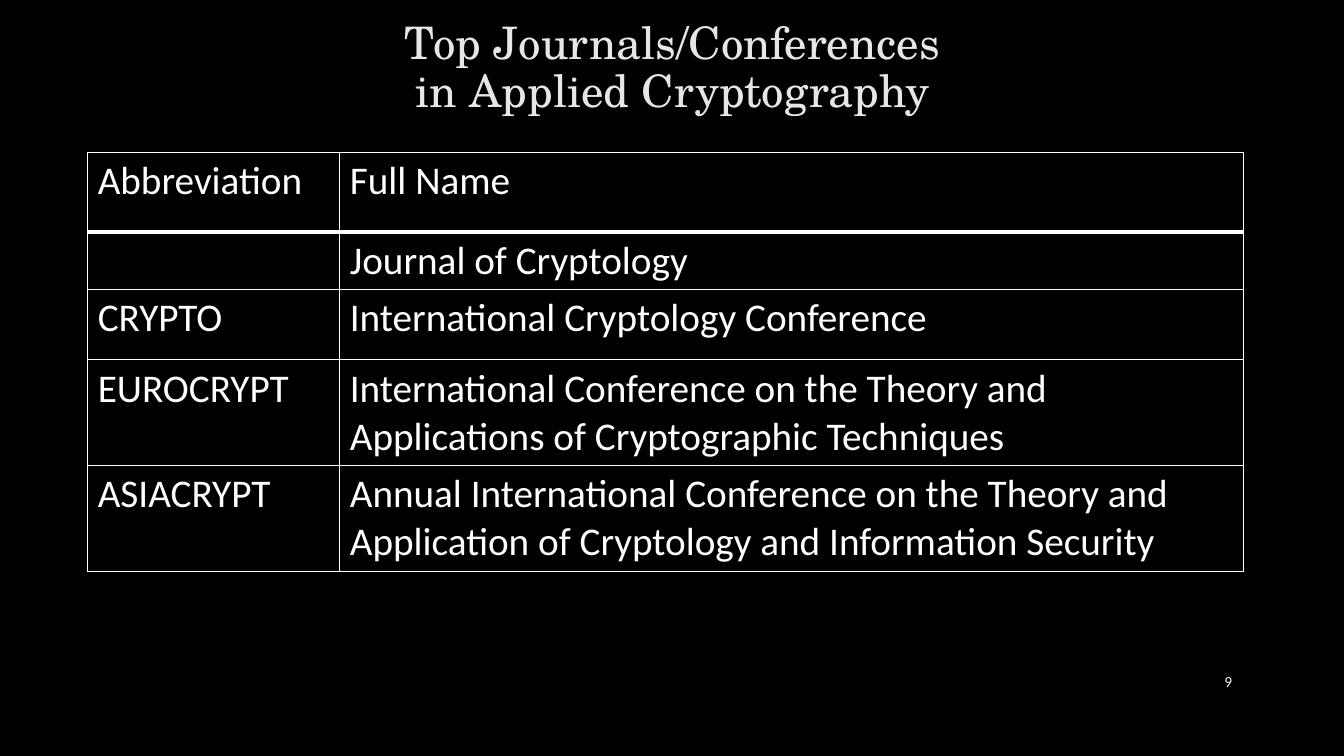
"""Build a slide listing the top venues in applied cryptography."""
from dataclasses import dataclass

from lxml import etree
from pptx import Presentation
from pptx import util as u
from pptx.dml.color import RGBColor
from pptx.enum import text
from pptx.oxml.ns import qn


@dataclass(frozen=True)
class Theme:
    background: str = "000000"
    heading: str = "E4E8E2"
    body: str = "FFFFFF"
    number: str = "F2F2F2"
    heading_font: str = "TeX Gyre Schola"
    body_font: str = "Calibri"
    heading_size: int = 32
    body_size: int = 28
    number_size: int = 11
    rule: int = 1
    header_rule: int = 3


class Deck:
    def __init__(self, theme):
        self.theme = theme
        self.deck = Presentation()
        self.deck.slide_width = u.Inches(13.33)
        self.deck.slide_height = u.Inches(7.5)
        self.slide = self.deck.slides.add_slide(self.deck.slide_layouts[6])
        backdrop = self.slide.background.fill
        backdrop.solid()
        backdrop.fore_color.rgb = RGBColor.from_string(theme.background)

    def add_words(self, paragraph, words, font, size, color):
        for index, line in enumerate(words.split("\n")):
            if index:
                paragraph.add_line_break()
            run = paragraph.add_run()
            run.text = line
            run.font.name = font
            run.font.size = u.Pt(size)
            run.font.color.rgb = RGBColor.from_string(color)

    def label(self, box, words, font, size, color, align, spacing=1.0):
        frame = self.slide.shapes.add_textbox(*map(u.Inches, box)).text_frame
        frame.word_wrap = True
        frame.vertical_anchor = text.MSO_ANCHOR.MIDDLE
        paragraph = frame.paragraphs[0]
        paragraph.alignment = align
        paragraph.line_spacing = spacing
        self.add_words(paragraph, words, font, size, color)

    def borders(self, cell, top, bottom):
        properties = cell._tc.get_or_add_tcPr()
        widths = {"L": self.theme.rule, "R": self.theme.rule, "T": top, "B": bottom}
        for side, width in widths.items():
            line = etree.SubElement(properties, qn(f"a:ln{side}"), w=str(u.Pt(width)))
            paint = etree.SubElement(line, qn("a:solidFill"))
            etree.SubElement(paint, qn("a:srgbClr"), val=self.theme.body)

    def table(self, left, top, columns, heights, rows):
        theme = self.theme
        box = (left, top, sum(columns), sum(heights))
        grid = self.slide.shapes.add_table(
            len(rows), len(columns), *map(u.Inches, box)).table
        grid.first_row = grid.horz_banding = False
        for column, width in zip(grid.columns, columns):
            column.width = u.Inches(width)
        for r, (height, row) in enumerate(zip(heights, rows)):
            grid.rows[r].height = u.Inches(height)
            for c, words in enumerate(row):
                cell = grid.cell(r, c)
                self.borders(cell,
                             theme.header_rule if r == 1 else theme.rule,
                             theme.header_rule if r == 0 else theme.rule)
                cell.fill.background()
                if words:
                    self.add_words(cell.text_frame.paragraphs[0], words,
                                   theme.body_font, theme.body_size, theme.body)


VENUES = [
    ("Abbreviation", "Full Name"),
    ("", "Journal of Cryptology"),
    ("CRYPTO", "International Cryptology Conference"),
    ("EUROCRYPT", "International Conference on the Theory and "
                  "Applications of Cryptographic Techniques"),
    ("ASIACRYPT", "Annual International Conference on the Theory and "
                  "Application of Cryptology and Information Security"),
]


def main():
    theme = Theme()
    page = Deck(theme)
    page.label((11.5, 6.56, 0.82, 0.4), "9", theme.body_font,
               theme.number_size, theme.number, text.PP_ALIGN.RIGHT)
    page.table(0.87, 1.51, (2.5, 8.96), (0.79, 0.57, 0.7, 1.05, 1.05), VENUES)
    page.label((1.01, 0.09, 11.32, 1.19),
               "Top Journals/Conferences\nin Applied Cryptography",
               theme.heading_font, theme.heading_size, theme.heading,
               text.PP_ALIGN.CENTER, 0.9)
    page.deck.save("out.pptx")


if __name__ == "__main__":
    main()
